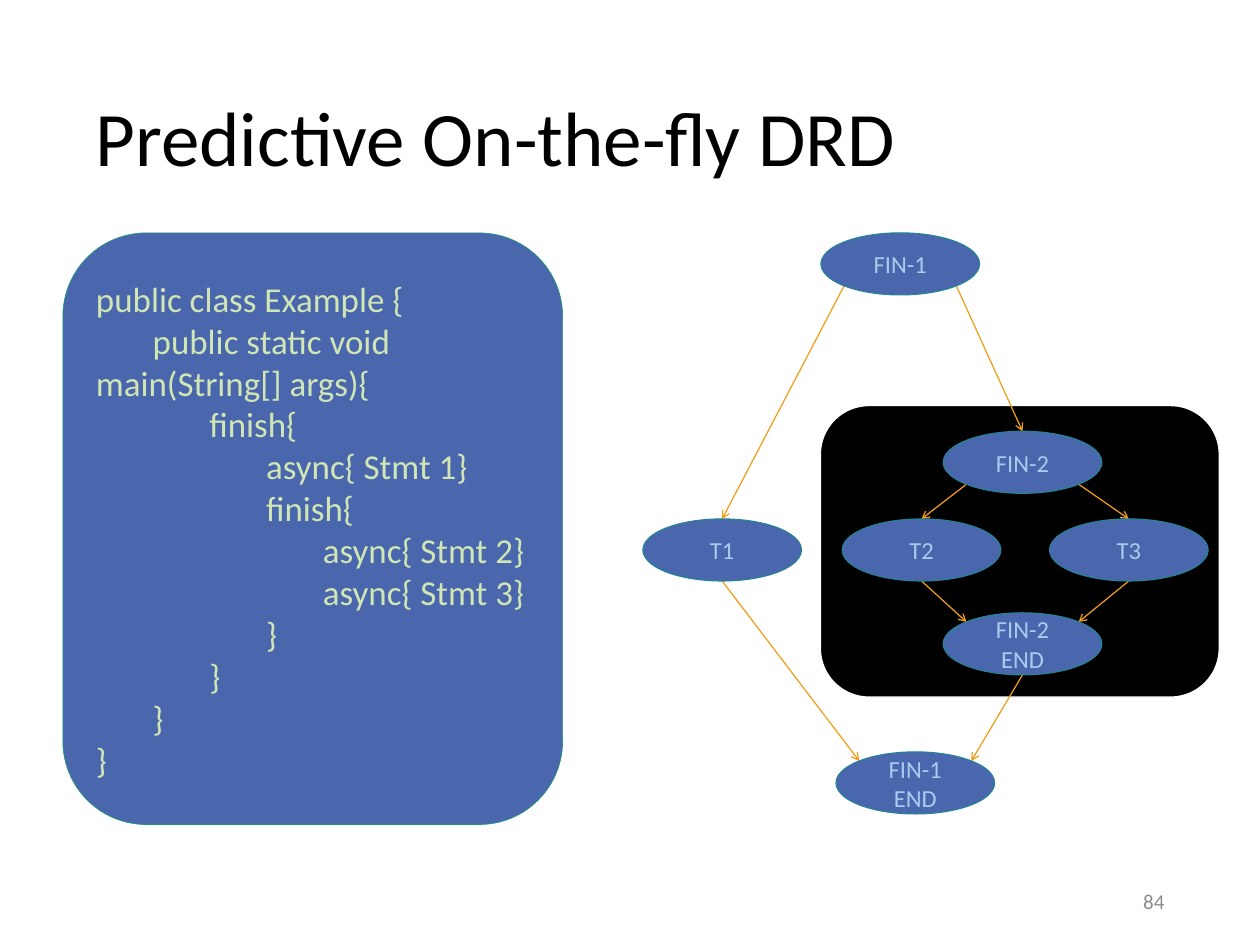
from math import sqrt

from lxml import etree
from pptx import Presentation
from pptx.dml.color import RGBColor
from pptx.enum.shapes import MSO_CONNECTOR, MSO_SHAPE
from pptx.enum.text import MSO_ANCHOR, PP_ALIGN
from pptx.oxml.ns import qn
from pptx.util import Inches, Pt

ELLIPSE, ROUNDED = MSO_SHAPE.OVAL, MSO_SHAPE.ROUNDED_RECTANGLE
STRAIGHT = MSO_CONNECTOR.STRAIGHT
LEFT, CENTER, RIGHT = PP_ALIGN.LEFT, PP_ALIGN.CENTER, PP_ALIGN.RIGHT
MIDDLE = MSO_ANCHOR.MIDDLE

# Content
TITLE = "Predictive On-the-fly DRD"
PAGE = "84"
CODE = [  # indent level, text
    (0, "public class Example {"),
    (1, "public static void main(String[] args){"),
    (2, "finish{"),
    (3, "async{ Stmt 1}"),
    (3, "finish{"),
    (4, "async{ Stmt 2}"),
    (4, "async{ Stmt 3}"),
    (3, "}"),
    (2, "}"),
    (1, "}"),
    (0, "}"),
]

# Grid of node centres, in inches
COLS = {"t1": 8.15, "start": 10.16, "end": 10.33, "t2": 10.4, "inner": 11.54, "t3": 12.74}
ROWS = {"start": 2.98, "fork": 5.22, "tasks": 6.21, "join": 7.27, "end": 8.84}
NODE_W, NODE_H = 1.79, 0.7
NODES = {  # name: (column, row, lines)
    "fin1": ("start", "start", ["FIN-1"]),
    "fin2": ("inner", "fork", ["FIN-2"]),
    "t1": ("t1", "tasks", ["T1"]),
    "t2": ("t2", "tasks", ["T2"]),
    "t3": ("t3", "tasks", ["T3"]),
    "fin2_end": ("inner", "join", ["FIN-2", "END"]),
    "fin1_end": ("end", "end", ["FIN-1", "END"]),
}
# Points on an ellipse, as shares of its half width and half height
D = 1 / sqrt(2)
SITES = {"top": (0, -1), "bottom": (0, 1), "top left": (-D, -D), "top right": (D, -D),
         "bottom left": (-D, D), "bottom right": (D, D)}
ARROWS = [
    ("fin1", "bottom left", "t1", "top"),
    ("fin1", "bottom right", "fin2", "top"),
    ("fin2", "bottom left", "t2", "top"),
    ("fin2", "bottom right", "t3", "top"),
    ("t2", "bottom", "fin2_end", "top left"),
    ("t3", "bottom", "fin2_end", "top right"),
    ("t1", "bottom", "fin1_end", "top left"),
    ("fin2_end", "bottom", "fin1_end", "top right"),
]
INDENT = 0.64

prs = Presentation()
prs.slide_width, prs.slide_height = Inches(14.22), Inches(10.67)
s = prs.slides.add_slide(prs.slide_layouts[6])


def rgb(color):
    return RGBColor.from_string(color)


def write(sp, lines, size, color, align=LEFT, spacing=None):
    """Fill a shape with paragraphs given as (indent level, text)."""
    tf = sp.text_frame
    tf.word_wrap = True
    tf.vertical_anchor = MIDDLE
    for i, (level, text) in enumerate(lines):
        p = tf.add_paragraph() if i else tf.paragraphs[0]
        p.alignment = align
        if spacing:
            p.line_spacing = spacing
        if level:
            p._p.get_or_add_pPr().set("indent", str(Inches(level * INDENT)))
        r = p.add_run()
        r.text = text
        r.font.name, r.font.size = "Calibri", Pt(size)
        r.font.color.rgb = rgb(color)


def add_box(kind, box, fill, line, width=1):
    sp = s.shapes.add_shape(kind, *map(Inches, box))
    sp.shadow.inherit = False
    sp.fill.solid()
    sp.fill.fore_color.rgb = rgb(fill)
    sp.line.color.rgb = rgb(line)
    sp.line.width = Pt(width)
    return sp


def add_label(box, text, size, color, **fmt):
    write(s.shapes.add_textbox(*map(Inches, box)), [(0, text)], size, color, **fmt)


def site(node, name):
    col, row, _ = NODES[node]
    dx, dy = SITES[name]
    return Inches(COLS[col] + dx * NODE_W / 2), Inches(ROWS[row] + dy * NODE_H / 2)


# Title and page number
add_label((0.98, 0.57, 12.27, 2.06), TITLE, 62.6, "000000", spacing=0.9)
add_label((10.04, 9.89, 3.2, 0.57), PAGE, 17.1, "8C8C8C", align=RIGHT)

# Code panel
panel = add_box(ROUNDED, (0.71, 2.63, 5.64, 6.68), "4A66AC", "1D9A78", 0.5)
write(panel, CODE, 28.4, "D1E6B5")

# Frame around the inner finish block
add_box(ROUNDED, (9.26, 4.58, 4.5, 3.29), "000000", "FFFFFF")

# Arrows
for source, leave, target, enter in ARROWS:
    c = s.shapes.add_connector(STRAIGHT, *site(source, leave), *site(target, enter))
    c.line.color.rgb = rgb("F19D19")
    c.line.width = Pt(1)
    etree.SubElement(c.line._get_or_add_ln(), qn("a:tailEnd"), type="arrow")
    etree.SubElement(c._element.spPr, qn("a:effectLst"))

# Nodes
for col, row, lines in NODES.values():
    box = (COLS[col] - NODE_W / 2, ROWS[row] - NODE_H / 2, NODE_W, NODE_H)
    node = add_box(ELLIPSE, box, "4A66AC", "288198")
    write(node, [(0, text) for text in lines], 19.9, "A9CCEE", align=CENTER)

prs.save("out.pptx")
